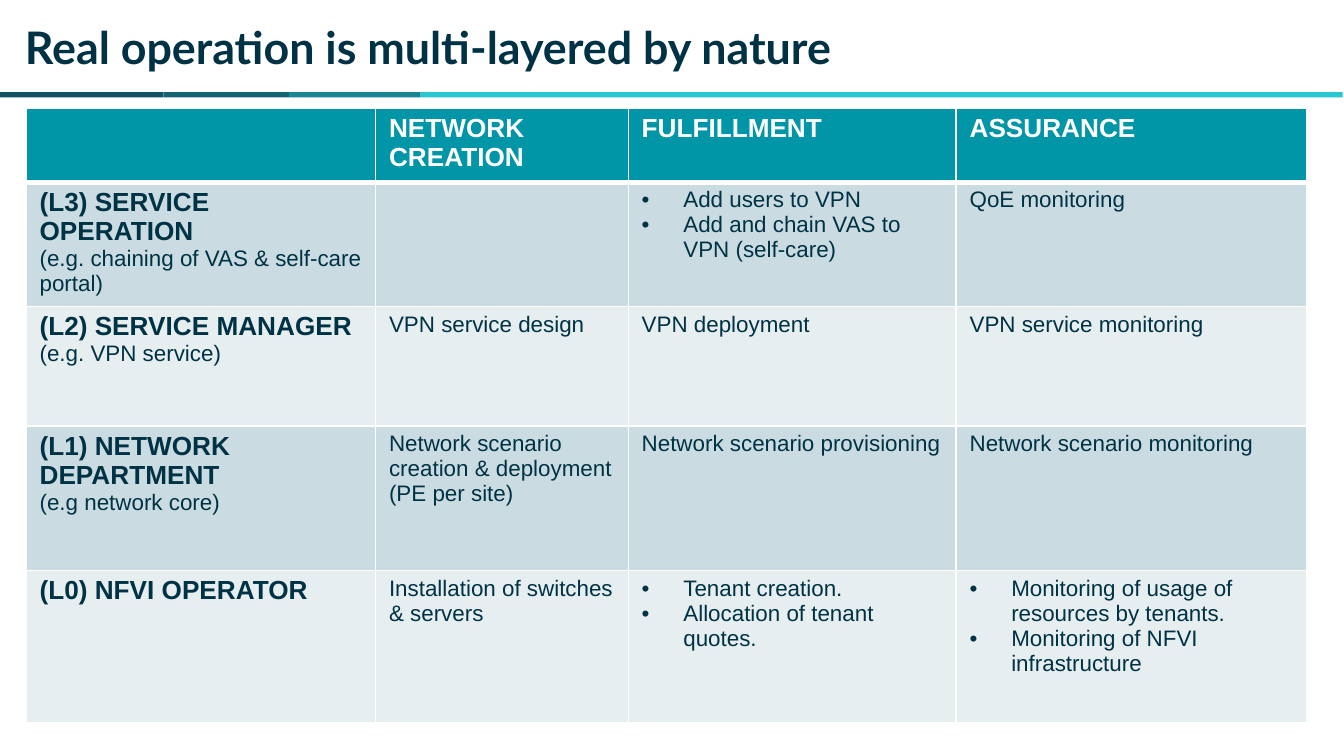
from typing import NamedTuple

from lxml.etree import SubElement
from pptx import Presentation
from pptx.dml.color import RGBColor
from pptx.enum.shapes import MSO_SHAPE
from pptx.enum.text import MSO_ANCHOR, MSO_AUTO_SIZE, PP_ALIGN
from pptx.oxml.ns import qn
from pptx.util import Emu, Pt

EMU_PER_PX = 4572
COLORS = {
    "ink": "003245",
    "white": "FFFFFF",
    "header": "0095A7",
    "band_dark": "CADCE1",
    "band_light": "E6EEF0",
    "rule_1": "115362",
    "rule_2": "156273",
    "rule_3": "1C8494",
    "rule_4": "29C6D4",
}


class Segment(NamedTuple):
    width: int
    color: str


class Layer(NamedTuple):
    name: str
    example: str
    cells: tuple[tuple[str, ...], ...]
    height: int
    same_paragraph: bool = False


SEGMENTS = [
    Segment(245, "rule_1"),
    Segment(187, "rule_2"),
    Segment(196, "rule_3"),
    Segment(1372, "rule_4"),
]
HEADINGS = ["", "NETWORK CREATION", "FULFILLMENT", "ASSURANCE"]
HEADER_HEIGHT = 110
COLUMN_WIDTHS = [520, 376, 488, 522]
LAYERS = [
    Layer(
        "(L3) SERVICE OPERATION ",
        "(e.g. chaining of VAS & self-care portal)",
        (
            (),
            ("• Add users to VPN", "• Add and chain VAS to VPN (self-care)"),
            ("QoE monitoring",),
        ),
        185,
        same_paragraph=True,
    ),
    Layer(
        "(L2) SERVICE MANAGER",
        "(e.g. VPN service)",
        (("VPN service design",), ("VPN deployment",), ("VPN service monitoring",)),
        178,
    ),
    Layer(
        "(L1) NETWORK DEPARTMENT",
        "(e.g network core)",
        (
            ("Network scenario creation & deployment", "(PE per site)"),
            ("Network scenario provisioning",),
            ("Network scenario monitoring",),
        ),
        215,
    ),
    Layer(
        "(L0) NFVI OPERATOR",
        "",
        (
            ("Installation of switches & servers",),
            ("• Tenant creation.", "• Allocation of tenant quotes."),
            (
                "• Monitoring of usage of resources by tenants.",
                "• Monitoring of NFVI infrastructure",
            ),
        ),
        226,
    ),
]


def px(n: int) -> Emu:
    return Emu(n * EMU_PER_PX)


def rgb(name: str) -> RGBColor:
    return RGBColor.from_string(COLORS[name])


def write(
    tf, text: str, *, size=12, bold=False, color="ink", font="Arial", same_paragraph=False
) -> None:
    p = tf.paragraphs[-1]
    if same_paragraph:
        p.add_line_break()
    elif p.runs:
        p = tf.add_paragraph()
    p.alignment = PP_ALIGN.LEFT
    if text.startswith("• "):
        text = text[2:]
        pPr = p._p.get_or_add_pPr()
        pPr.set("marL", str(px(62)))
        pPr.set("indent", str(-px(62)))
        SubElement(SubElement(pPr, qn("a:buClr")), qn("a:srgbClr"), val=COLORS[color])
        SubElement(pPr, qn("a:buFont"), typeface="Arial")
        SubElement(pPr, qn("a:buChar"), char="•")
    r = p.add_run()
    r.text = text
    r.font.size = Pt(size)
    r.font.bold = bold
    r.font.name = font
    r.font.color.rgb = rgb(color)


def style_cell(cell, fill: str, top: int = 1, bottom: int = 1) -> None:
    tcPr = cell._tc.get_or_add_tcPr()
    for side, width in (("L", 1), ("R", 1), ("T", top), ("B", bottom)):
        ln = SubElement(tcPr, qn(f"a:ln{side}"), w=str(Pt(width)))
        SubElement(SubElement(ln, qn("a:solidFill")), qn("a:srgbClr"), val=COLORS["white"])
    cell.fill.solid()
    cell.fill.fore_color.rgb = rgb(fill)
    cell.margin_left = cell.margin_right = px(20)
    cell.margin_top = cell.margin_bottom = px(8)


def draw_rule(s, segments: list[Segment]) -> None:
    left = -2
    for segment in segments:
        sp = s.shapes.add_shape(
            MSO_SHAPE.RECTANGLE, px(left), px(137), px(segment.width), px(8)
        )
        sp.shadow.inherit = False
        sp.fill.solid()
        sp.fill.fore_color.rgb = rgb(segment.color)
        sp.line.fill.background()
        left += segment.width


def draw_title(s, text: str) -> None:
    sp = s.shapes.title
    sp.left, sp.top, sp.width, sp.height = px(0), px(0), px(1842), px(138)
    tf = sp.text_frame
    tf.auto_size = MSO_AUTO_SIZE.NONE
    tf.word_wrap = True
    tf.vertical_anchor = MSO_ANCHOR.MIDDLE
    tf.margin_left = px(37)
    tf.margin_top = tf.margin_right = tf.margin_bottom = 0
    write(tf, text, size=24, bold=True, font="Lato")


def draw_table(s, layers: list[Layer]) -> None:
    heights = [HEADER_HEIGHT] + [layer.height for layer in layers]
    table = s.shapes.add_table(
        len(heights), len(COLUMN_WIDTHS),
        px(39), px(161), px(sum(COLUMN_WIDTHS)), px(sum(heights)),
    ).table
    for column, width in zip(table.columns, COLUMN_WIDTHS):
        column.width = px(width)
    for row, height in zip(table.rows, heights):
        row.height = px(height)

    for i, heading in enumerate(HEADINGS):
        cell = table.cell(0, i)
        style_cell(cell, "header", bottom=3)
        if heading:
            write(cell.text_frame, heading, size=14, bold=True, color="white")

    for j, layer in enumerate(layers, start=1):
        for i in range(len(COLUMN_WIDTHS)):
            style_cell(
                table.cell(j, i),
                "band_dark" if j % 2 else "band_light",
                top=3 if j == 1 else 1,
            )
        tf = table.cell(j, 0).text_frame
        write(tf, layer.name, size=14, bold=True)
        if layer.example:
            write(tf, layer.example, same_paragraph=layer.same_paragraph)
        for i, lines in enumerate(layer.cells, start=1):
            for line in lines:
                write(table.cell(j, i).text_frame, line)


def main() -> None:
    prs = Presentation()
    prs.slide_width, prs.slide_height = px(2000), px(1125)
    s = prs.slides.add_slide(prs.slide_layouts[5])
    draw_rule(s, SEGMENTS)
    draw_title(s, "Real operation is multi-layered by nature")
    draw_table(s, LAYERS)
    prs.save("out.pptx")


if __name__ == "__main__":
    main()
